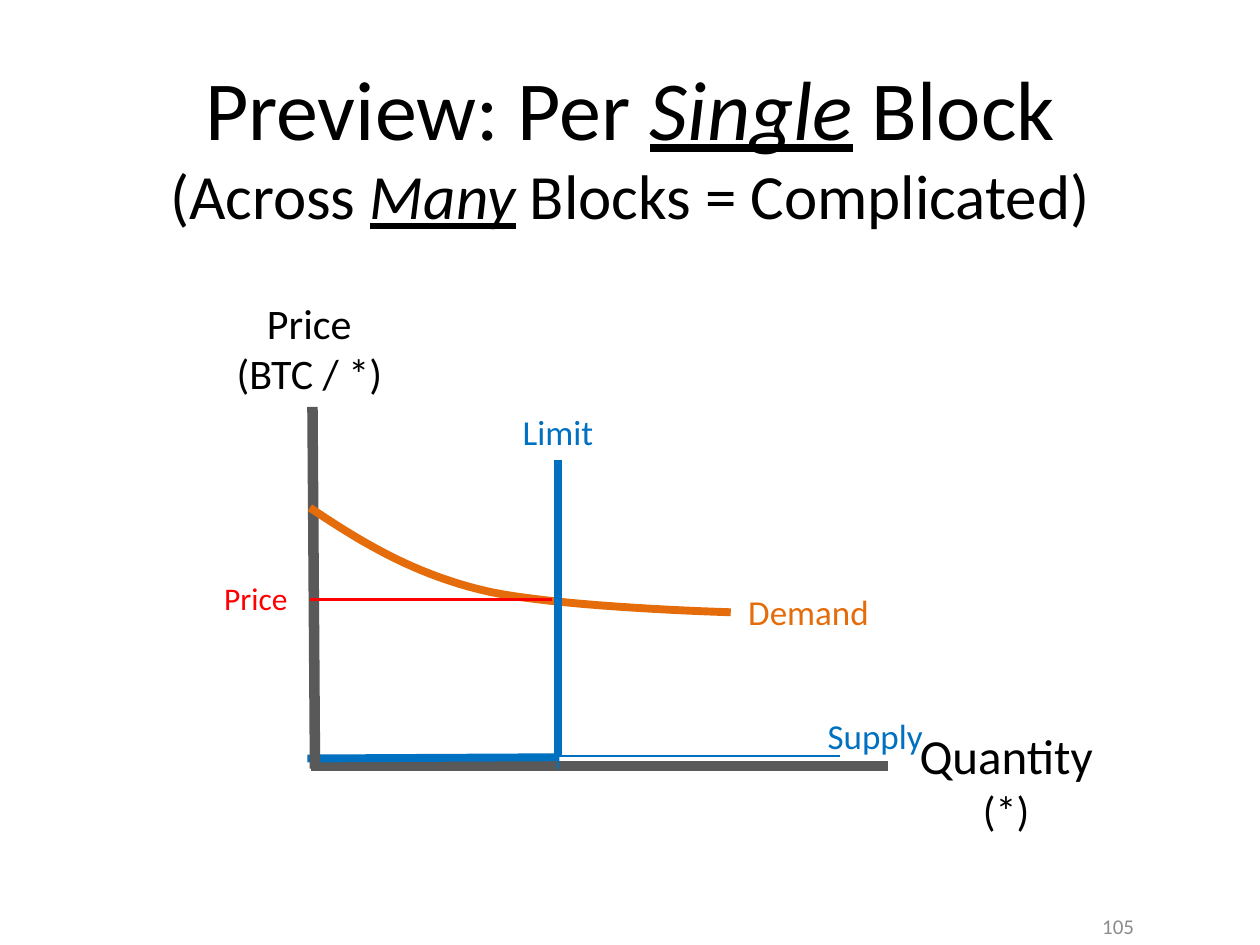
from dataclasses import dataclass
from lxml.etree import SubElement
from pptx import Presentation
from pptx.dml.color import RGBColor as RGB
from pptx.enum.text import MSO_ANCHOR as Anchor, MSO_AUTO_SIZE as Fit, PP_ALIGN as Align
from pptx.oxml.ns import qn
from pptx.util import Inches, Pt


@dataclass(frozen=True)
class Theme:
    font: str = "Calibri"
    ink: str = "000000"
    axis: str = "595959"
    supply: str = "0070C0"
    demand: str = "E46C0A"
    price: str = "FF0000"
    page: str = "8C8C8C"
    title: int = 48
    sub: int = 36
    large: int = 28
    name: int = 24
    label: int = 20
    small: int = 18
    tiny: int = 12
    thin: float = 1.5
    bold: float = 4.5
    heavy: float = 6


THEME = Theme()


def write(para, text, size=THEME.label, color=THEME.ink, align=Align.LEFT):
    para.alignment = align
    for i, part in enumerate(text.split("_")):
        run = para.add_run()
        run.text = part
        font = run.font
        font.name, font.size = THEME.font, Pt(size)
        font.color.rgb = RGB.from_string(color)
        if i % 2:
            font.italic = font.underline = True


def add_label(slide, box, *lines, wrap=False, anchor=Anchor.TOP, **style):
    frame = slide.shapes.add_textbox(*map(Inches, box)).text_frame
    frame.word_wrap, frame.vertical_anchor = wrap, anchor
    frame.auto_size = Fit.NONE if wrap else Fit.SHAPE_TO_FIT_TEXT
    for i, (text, size) in enumerate(lines):
        para = frame.add_paragraph() if i else frame.paragraphs[0]
        write(para, text, size=size, **style)


def add_title(slide):
    title = slide.shapes.title
    title.left, title.top, title.width, title.height = map(Inches, (0.5, 0.3, 9, 1.69))
    frame = title.text_frame
    frame.auto_size, frame.vertical_anchor = Fit.NONE, Anchor.MIDDLE
    para = frame.paragraphs[0]
    write(para, "Preview: Per _Single_ Block", size=THEME.title, align=Align.CENTER)
    para.add_line_break()
    write(para, "(Across _Many_ Blocks = Complicated)", size=THEME.sub, align=Align.CENTER)


def paint(line, color, width):
    line.color.rgb = RGB.from_string(color)
    line.width = Pt(width)


def add_line(slide, start, end, color, width):
    line = slide.shapes.add_connector(1, *map(Inches, start + end))
    SubElement(line._element.spPr, qn("a:effectLst"))
    paint(line.line, color, width)


def bezier(a, b, c, d, steps=20):
    for i in range(1, steps + 1):
        t = i / steps
        u = 1 - t
        yield tuple(Inches(u**3 * p + 3 * u * u * t * q + 3 * u * t * t * r + t**3 * s)
                    for p, q, r, s in zip(a, b, c, d))


def add_curve(slide, knots, color, width):
    form = slide.shapes.build_freeform(*map(Inches, knots[0]))
    for i in range(0, len(knots) - 1, 3):
        form.add_line_segments(bezier(*knots[i:i + 4]), close=False)
    curve = form.convert_to_shape()
    curve.shadow.inherit = False
    curve.fill.background()
    paint(curve.line, color, width)


def main():
    deck = Presentation()
    deck.slide_width, deck.slide_height = Inches(10), Inches(7.5)
    slide = deck.slides.add_slide(deck.slide_layouts[5])
    t = THEME
    add_title(slide)

    add_line(slide, (7.05, 6.08), (2.47, 6.08), t.axis, t.heavy)
    add_line(slide, (4.43, 3.65), (4.43, 6.1), t.supply, t.thin)
    add_label(slide, (1.77, 2.31, 1.37, 0.91), ("Price", t.name), ("(BTC / *)", t.name),
              align=Align.CENTER)
    add_label(slide, (7.19, 5.71, 1.59, 0.98), ("Quantity", t.large), ("(*)", t.name),
              align=Align.CENTER)
    add_line(slide, (4.44, 6.01), (2.44, 6.02), t.supply, t.bold)
    add_line(slide, (2.48, 3.23), (2.5, 6.1), t.axis, t.heavy)
    add_label(slide, (6.47, 5.62, 0.96, 0.44), ("Supply", t.label), color=t.supply)

    knots = [(2.46, 4.03), (2.85, 4.29), (3.25, 4.54), (3.81, 4.68),
             (4.36, 4.82), (5.8, 4.86), (5.8, 4.86)]
    add_curve(slide, knots, t.demand, t.bold)
    add_label(slide, (5.84, 4.64, 1.17, 0.44), ("Demand", t.label), color=t.demand)
    add_label(slide, (6.77, 7.15, 2.33, 0.4), ("105", t.tiny), color=t.page,
              align=Align.RIGHT, wrap=True, anchor=Anchor.MIDDLE)

    add_label(slide, (4.05, 3.21, 0.77, 0.44), ("Limit", t.label), color=t.supply)
    add_line(slide, (4.38, 4.76), (2.46, 4.76), t.price, t.thin)
    add_label(slide, (1.68, 4.55, 0.71, 0.4), ("Price", t.small), color=t.price)
    add_line(slide, (4.43, 3.65), (4.43, 6), t.supply, t.bold)
    add_line(slide, (3.76, 6), (6.67, 6), t.supply, t.thin)
    deck.save("out.pptx")


if __name__ == "__main__":
    main()
